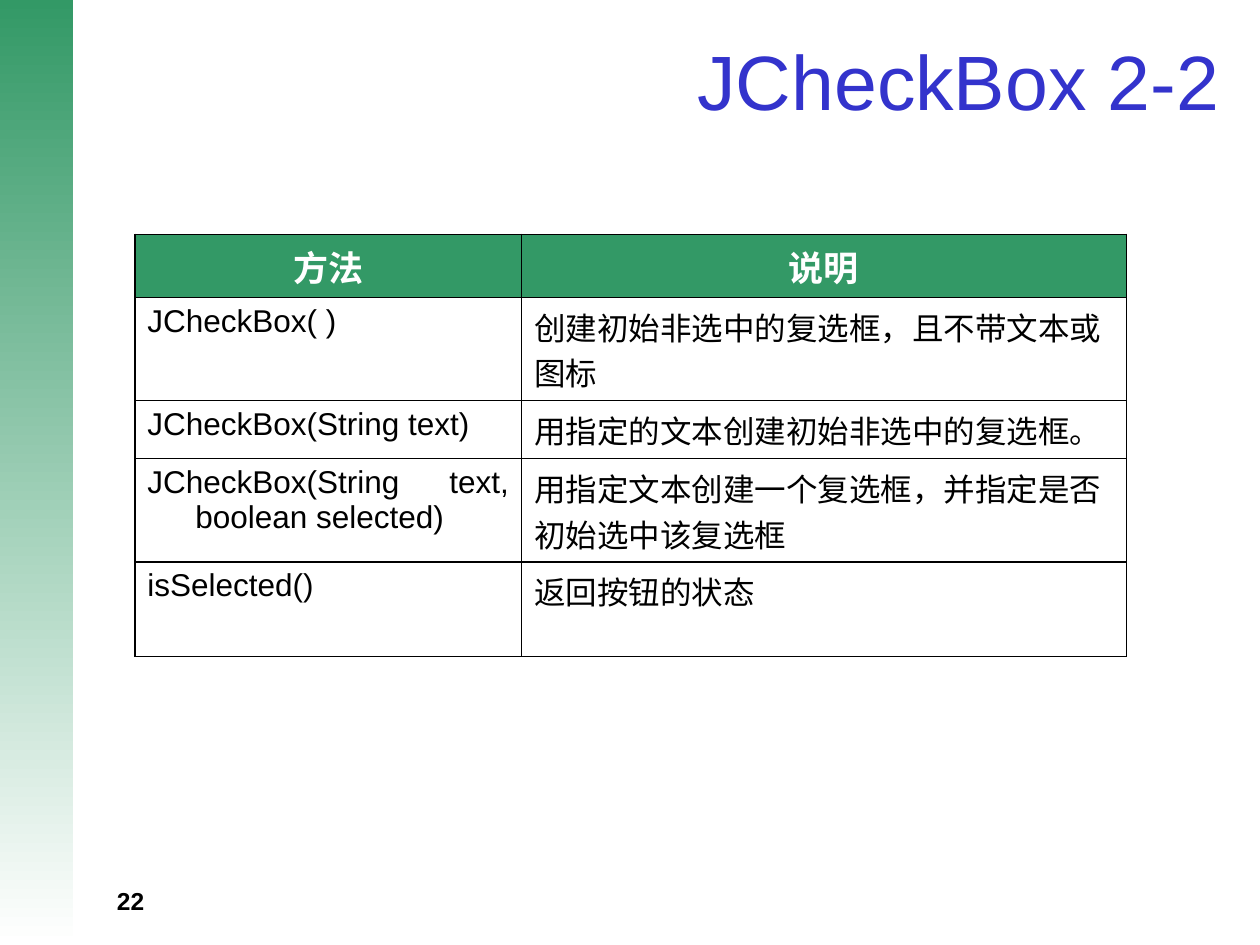
from dataclasses import dataclass

import pptx
import pptx.dml.color
import pptx.enum.shapes
import pptx.enum.text
import pptx.oxml
import pptx.oxml.ns
import pptx.util

Inches = pptx.util.Inches
Pt = pptx.util.Pt
RGBColor = pptx.dml.color.RGBColor
Align = pptx.enum.text.PP_ALIGN
Anchor = pptx.enum.text.MSO_ANCHOR

GREEN = RGBColor(0x33, 0x99, 0x66)
BLUE = RGBColor(0x33, 0x33, 0xCC)
WHITE = RGBColor(0xFF, 0xFF, 0xFF)
BLACK = RGBColor(0, 0, 0)
FONT = "Arial"
HANG = Inches(0.38)


@dataclass(frozen=True)
class Style:
    size: int
    color: RGBColor
    bold: bool = False
    align: Align = Align.LEFT


@dataclass(frozen=True)
class Label:
    text: str
    left: float
    top: float
    width: float
    height: float
    style: Style
    anchor: Anchor = Anchor.TOP


@dataclass(frozen=True)
class Row:
    height: float
    method: str
    notes: tuple[str, ...]


HEAD = Style(20, WHITE, True, Align.CENTER)
BODY = Style(18, BLACK, False, Align.JUSTIFY)

LABELS = (
    Label("22", 0.83, 6.98, 2.33, 0.24, Style(14, BLACK, True)),
    Label("JCheckBox 2-2", -0.2, 0.2, 9.98, 0.87,
          Style(44, BLUE, False, Align.RIGHT), Anchor.MIDDLE),
)
WIDTHS = (3.07, 4.8)
ROWS = (
    Row(0.5, "方法", ("说明",)),
    Row(0.82, "JCheckBox( )", ("创建初始非选中的复选框，且不带文本或", "图标")),
    Row(0.46, "JCheckBox(String text)", ("用指定的文本创建初始非选中的复选框。",)),
    Row(0.82, "JCheckBox(String text, boolean selected)",
        ("用指定文本创建一个复选框，并指定是否", "初始选中该复选框")),
    Row(0.75, "isSelected()", ("返回按钮的状态",)),
)


def write(para, text: str, style: Style) -> None:
    para.alignment = style.align
    run = para.add_run()
    run.text = text
    run.font.name = FONT
    run.font.size = Pt(style.size)
    run.font.bold = style.bold
    run.font.color.rgb = style.color


def add_label(slide, label: Label) -> None:
    box = slide.shapes.add_textbox(Inches(label.left), Inches(label.top),
                                   Inches(label.width), Inches(label.height))
    frame = box.text_frame
    frame.word_wrap = True
    frame.vertical_anchor = label.anchor
    write(frame.paragraphs[0], label.text, label.style)


def add_band(slide) -> None:
    band = slide.shapes.add_shape(pptx.enum.shapes.MSO_SHAPE.RECTANGLE,
                                  0, 0, Inches(0.58), Inches(7.5))
    band.shadow.inherit = False
    band.line.fill.background()
    band.fill.gradient()
    band.fill.gradient_angle = 270
    for stop, color, place in zip(band.fill.gradient_stops, (GREEN, WHITE), (0, 1)):
        stop.color.rgb = color
        stop.position = place


def add_edges(cell) -> None:
    props = cell._tc.get_or_add_tcPr()
    for side in ("lnL", "lnR", "lnT", "lnB"):
        props.append(pptx.oxml.parse_xml(
            f'<a:{side} {pptx.oxml.ns.nsdecls("a")} w="{Pt(1)}">'
            f'<a:solidFill><a:srgbClr val="{BLACK}"/></a:solidFill></a:{side}>'))


def fill_cell(cell, lines: tuple[str, ...], style: Style, color: RGBColor) -> None:
    add_edges(cell)
    cell.fill.solid()
    cell.fill.fore_color.rgb = color
    frame = cell.text_frame
    for i, line in enumerate(lines):
        para = frame.add_paragraph() if i else frame.paragraphs[0]
        props = para._p.get_or_add_pPr()
        props.set("marL", str(HANG))
        props.set("indent", str(-HANG))
        write(para, line, style)


def add_grid(slide) -> None:
    table = slide.shapes.add_table(
        len(ROWS), len(WIDTHS), Inches(1.07), Inches(1.86),
        Inches(sum(WIDTHS)), Inches(sum(row.height for row in ROWS))).table
    for col, width in zip(table.columns, WIDTHS):
        col.width = Inches(width)
    for i, row in enumerate(ROWS):
        table.rows[i].height = Inches(row.height)
        style, color = (BODY, WHITE) if i else (HEAD, GREEN)
        for j, lines in enumerate(((row.method,), row.notes)):
            fill_cell(table.cell(i, j), lines, style, color)


def main() -> None:
    deck = pptx.Presentation()
    deck.slide_width = Inches(10)
    deck.slide_height = Inches(7.5)
    slide = deck.slides.add_slide(deck.slide_layouts[6])
    add_band(slide)
    for label in LABELS:
        add_label(slide, label)
    add_grid(slide)
    deck.save("out.pptx")


if __name__ == "__main__":
    main()
